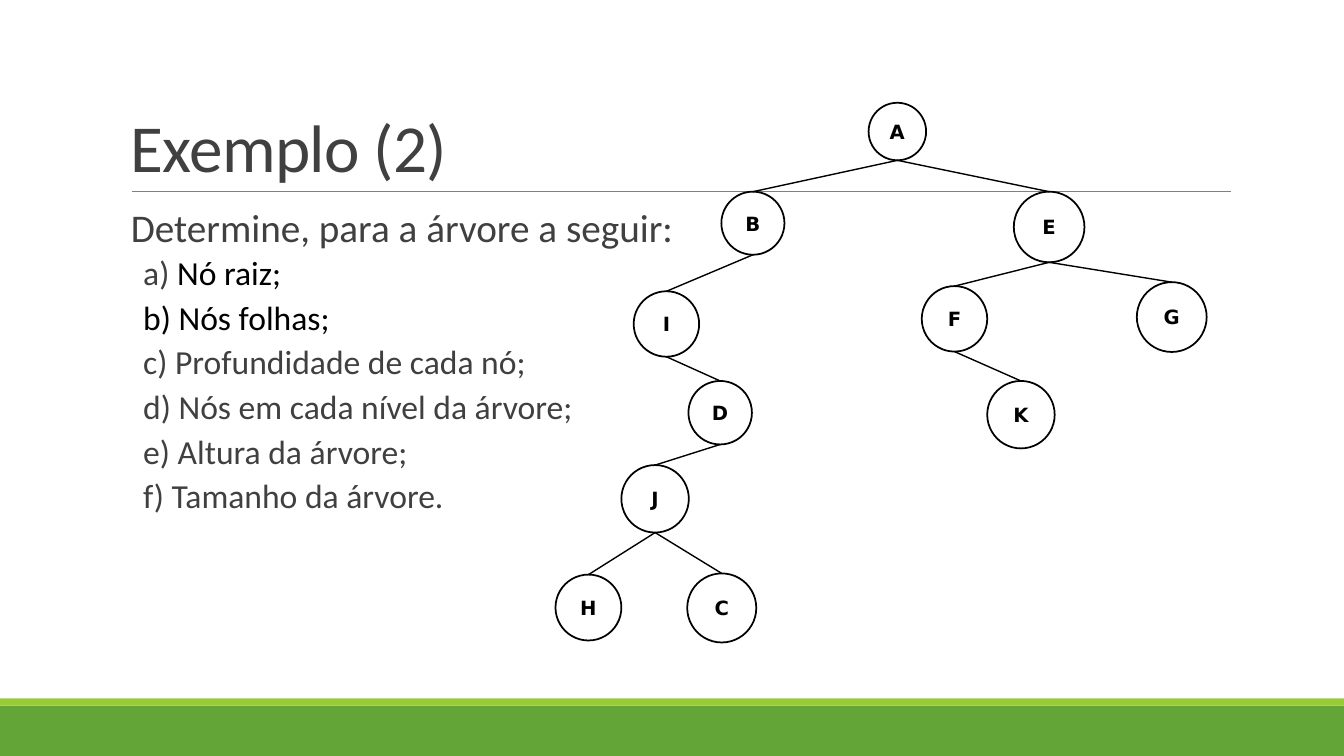
from lxml import etree
from pptx import Presentation
from pptx.dml.color import RGBColor
from pptx.enum.shapes import MSO_CONNECTOR, MSO_SHAPE
from pptx.enum.text import MSO_ANCHOR, PP_ALIGN
from pptx.oxml.ns import qn
from pptx.util import Cm, Pt

RECT, OVAL = MSO_SHAPE.RECTANGLE, MSO_SHAPE.OVAL
STRAIGHT = MSO_CONNECTOR.STRAIGHT
MIDDLE, BOTTOM, CENTER = MSO_ANCHOR.MIDDLE, MSO_ANCHOR.BOTTOM, PP_ALIGN.CENTER
BLACK = RGBColor(0x00, 0x00, 0x00)
WHITE = RGBColor(0xFF, 0xFF, 0xFF)
DARK = RGBColor(0x40, 0x40, 0x40)
GRAY = RGBColor(0x80, 0x80, 0x80)
GREEN = RGBColor(0x63, 0xA5, 0x37)
LIME = RGBColor(0x99, 0xCB, 0x38)

prs = Presentation()
prs.slide_width, prs.slide_height = Cm(33.87), Cm(19.05)
s = prs.slides.add_slide(prs.slide_layouts[6])


def add_line(x1, y1, x2, y2, color, width):
    line = s.shapes.add_connector(STRAIGHT, x1, y1, x2, y2)
    line.line.color.rgb = color
    line.line.width = Pt(width)
    etree.SubElement(line._element.spPr, qn("a:effectLst"))
    return line


def add_text(p, text, size, color):
    p.line_spacing = 0.9
    p.font.name, p.font.size, p.font.color.rgb = "Calibri", Pt(size), color
    r = p.add_run()
    r.text = text
    return r


for top, height, color in [(17.78, 1.27, GREEN), (17.6, 0.18, LIME)]:
    band = s.shapes.add_shape(RECT, 0, Cm(top), prs.slide_width, Cm(height))
    band.shadow.inherit = False
    band.fill.solid()
    band.fill.fore_color.rgb = color
    band.line.fill.background()

add_line(Cm(3.33), Cm(4.82), Cm(31.01), Cm(4.82), GRAY, 0.5)

title = s.shapes.add_textbox(Cm(3.05), Cm(0.79), Cm(27.94), Cm(4.04))
tf = title.text_frame
tf.word_wrap = True
tf.vertical_anchor = BOTTOM
p = tf.paragraphs[0]
r = add_text(p, "Exemplo (2)", 48, DARK)
r.font._element.set("spc", "-50")
p.line_spacing = 0.85

body = s.shapes.add_textbox(Cm(3.05), Cm(5.13), Cm(27.94), Cm(11.18))
tf = body.text_frame
tf.word_wrap = True
tf.margin_left = tf.margin_right = 0
p = tf.paragraphs[0]
add_text(p, "Determine, para a árvore a seguir:", 28, DARK)
p.space_before, p.space_after = Pt(12), Pt(2)
p._p.get_or_add_pPr().set("marL", str(Cm(0.25)))

questions = [
    ("a) ", "Nó raiz;", BLACK),
    ("", "b) Nós folhas;", BLACK),
    ("", "c) Profundidade de cada nó;", DARK),
    ("", "d) Nós em cada nível da árvore;", DARK),
    ("", "e) Altura da árvore;", DARK),
    ("", "f) Tamanho da árvore.", DARK),
]
for prefix, text, color in questions:
    p = tf.add_paragraph()
    p.space_before, p.space_after = Pt(2), Pt(4)
    p._p.get_or_add_pPr().set("marL", str(Cm(0.56)))
    if prefix:
        add_text(p, prefix, 24, color).font.color.rgb = DARK
    add_text(p, text, 24, color).font.color.rgb = color

nodes = {
    "A": (21.89, 2.59, 1.45),
    "B": (18.18, 4.83, 1.59),
    "E": (25.55, 4.83, 1.78),
    "F": (23.23, 7.21, 1.65),
    "G": (28.65, 7.11, 1.76),
    "I": (15.97, 7.34, 1.65),
    "D": (17.35, 9.6, 1.6),
    "J": (15.66, 11.72, 1.7),
    "H": (14, 14.48, 1.66),
    "C": (17.32, 14.45, 1.74),
    "K": (24.88, 9.6, 1.7),
}
circles = {}
for name, (left, top, size) in nodes.items():
    sp = s.shapes.add_shape(OVAL, Cm(left), Cm(top), Cm(size), Cm(size))
    sp.shadow.inherit = False
    sp.fill.solid()
    sp.fill.fore_color.rgb = WHITE
    sp.line.color.rgb = BLACK
    sp.line.width = Pt(1.25)
    tf = sp.text_frame
    tf.margin_left = tf.margin_right = tf.margin_top = tf.margin_bottom = 0
    tf.vertical_anchor = MIDDLE
    p = tf.paragraphs[0]
    p.alignment = CENTER
    p.font.name, p.font.size, p.font.bold = "DejaVu Sans", Pt(14), True
    p.font.color.rgb = BLACK
    p.add_run().text = name
    circles[name] = sp

for parent, child in ["AB", "AE", "EF", "EG", "FK", "BI", "ID", "DJ", "JH", "JC"]:
    a, b = circles[parent], circles[child]
    edge = add_line(a.left + a.width // 2, a.top + a.height,
                    b.left + b.width // 2, b.top, BLACK, 1)
    edge.end_connect(b, 0)

prs.save("out.pptx")
